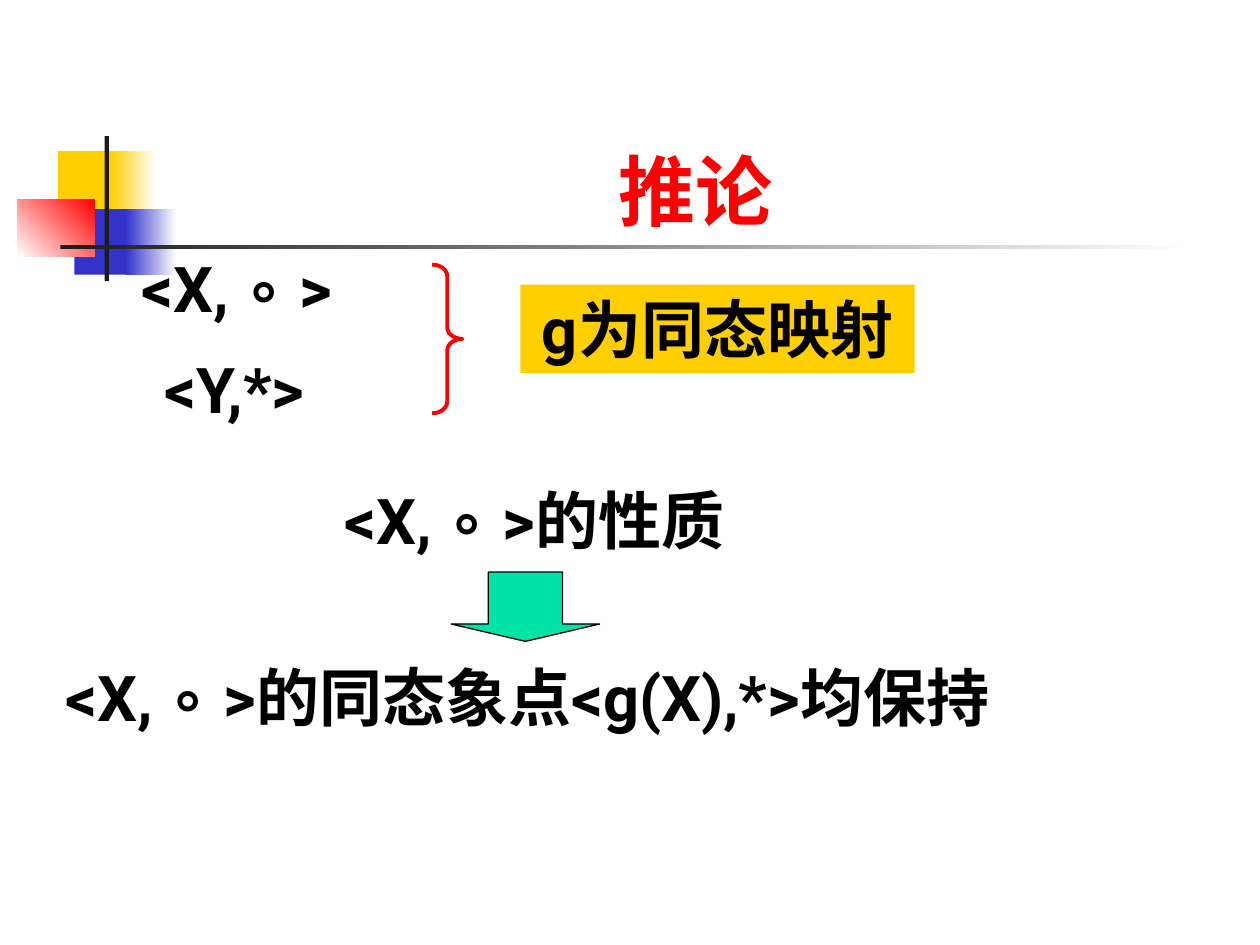
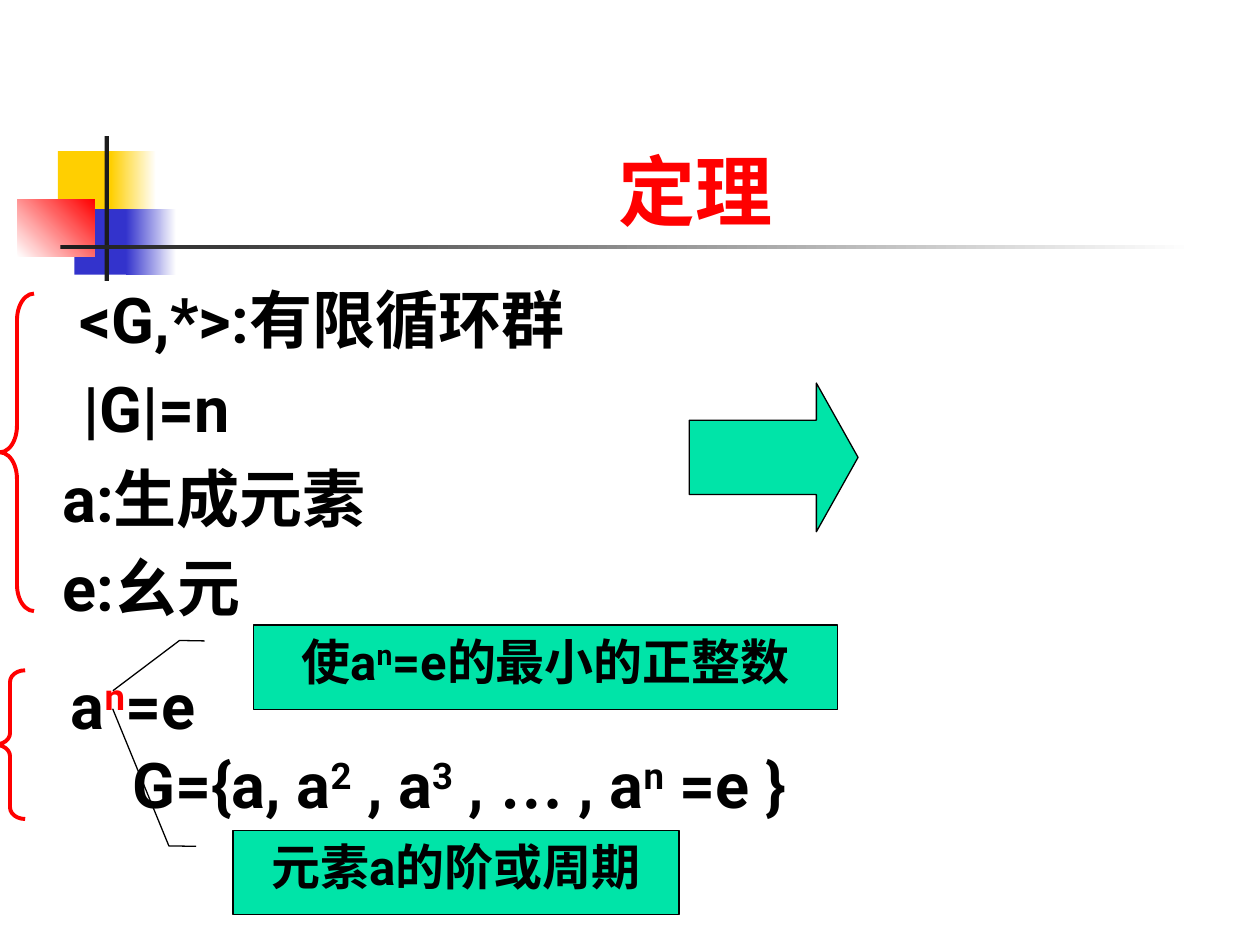
from lxml.etree import SubElement
from pptx import Presentation
from pptx.dml.color import RGBColor
from pptx.enum.shapes import MSO_SHAPE
from pptx.enum.text import MSO_ANCHOR, PP_ALIGN
from pptx.oxml.ns import qn
from pptx.util import Inches, Pt

BLACK = RGBColor(0x00, 0x00, 0x00)
WHITE = RGBColor(0xFF, 0xFF, 0xFF)
RED = RGBColor(0xFF, 0x00, 0x00)
YELLOW = RGBColor(0xFF, 0xCF, 0x01)
BLUE = RGBColor(0x33, 0x33, 0xCC)
GREEN = RGBColor(0x00, 0xE4, 0xA8)
CHARCOAL = RGBColor(0x1C, 0x1C, 0x1C)

FONT = "Roboto"
COLUMNS, ROWS = 100, 75
CELL = Inches(10) // COLUMNS
LINE_ROWS = 7  # height of one line of body text
SUPERSCRIPT = {"raised": True}


def grid(*cells):
    """Turn grid columns and rows into lengths."""
    return [round(cell * CELL) for cell in cells]


def write_text(shape, text, size=36, color=BLACK, wrap=False, anchor=MSO_ANCHOR.TOP):
    """Write centred bold text: a string, or a list of (string, run format)."""
    frame = shape.text_frame
    frame.word_wrap = wrap
    frame.vertical_anchor = anchor
    paragraph = frame.paragraphs[0]
    paragraph.alignment = PP_ALIGN.CENTER
    parts = [(text, {})] if isinstance(text, str) else text
    for words, style in parts:
        run = paragraph.add_run()
        run.text = words
        run.font.size = Pt(size)
        run.font.bold = True
        run.font.color.rgb = style.get("color", color)
        run.font.name = style.get("font", FONT)
        properties = run.font._element
        SubElement(properties, qn("a:ea")).set("typeface", run.font.name)
        if style.get("raised"):
            properties.set("baseline", "30000")


def add_text(slide, text, left, top, width, height=LINE_ROWS, **style):
    box = slide.shapes.add_textbox(*grid(left, top, width, height))
    write_text(box, text, **style)


def add_figure(slide, kind, cells, fill=None, line=None, weight=0.75, adjustments=()):
    """Draw a preset shape; a pair of fill colours makes a gradient."""
    shape = slide.shapes.add_shape(kind, *grid(*cells))
    shape.shadow.inherit = False
    for index, value in enumerate(adjustments):
        shape.adjustments[index] = value
    if fill is None:
        shape.fill.background()
    elif isinstance(fill, RGBColor):
        shape.fill.solid()
        shape.fill.fore_color.rgb = fill
    else:
        shape.fill.gradient()
        shape.fill.gradient_angle = 0
        for stop, color in zip(shape.fill.gradient_stops, fill):
            stop.color.rgb = color
    if line is None:
        shape.line.fill.background()
    else:
        shape.line.color.rgb = line
        shape.line.width = Pt(weight)
    return shape


def add_brace(slide, kind, cells, curve):
    add_figure(slide, kind, cells, line=RED, weight=2.25, adjustments=(curve, 0.5))


def add_arrow(slide, kind, cells, head):
    add_figure(slide, kind, cells, GREEN, BLACK, adjustments=(0.5, head))


def add_callout(slide, text, cells, pointer):
    callout = add_figure(slide, MSO_SHAPE.LINE_CALLOUT_2, cells, GREEN, BLACK,
                         adjustments=pointer)
    write_text(callout, text, size=28, wrap=True)


def add_titled_slide(presentation, title):
    """Start a slide with the coloured blocks, the rules and the title."""
    slide = presentation.slides.add_slide(presentation.slide_layouts[6])
    blocks = [
        ((4.6, 12, 4.8, 5.2), YELLOW),
        ((8.8, 12, 3.6, 5.2), (YELLOW, WHITE)),
        ((5.9, 16.6, 4.6, 5.2), BLUE),
        ((10, 16.6, 4, 5.2), (BLUE, WHITE)),
    ]
    for cells, fill in blocks:
        add_figure(slide, MSO_SHAPE.RECTANGLE, cells, fill)
    red_block = add_figure(slide, MSO_SHAPE.RECTANGLE, (1.4, 15.8, 6.1, 4.6), (WHITE, RED))
    red_block.fill.gradient_angle = 45
    add_figure(slide, MSO_SHAPE.RECTANGLE, (8.3, 10.8, 0.35, 11.5), CHARCOAL)
    add_figure(slide, MSO_SHAPE.RECTANGLE, (4.8, 19.45, 90, 0.35), (CHARCOAL, WHITE))
    add_text(slide, title, 12.6, 6.7, 85.2, 12.5, size=44, color=RED, wrap=True,
             anchor=MSO_ANCHOR.BOTTOM)
    return slide


def build_corollary(presentation):
    slide = add_titled_slide(presentation, "推论")

    # The two systems joined by the mapping
    add_text(slide, "<X, ∘ >", 9.7, 19.3, 18.2)
    add_text(slide, "<Y,*>", 11.1, 27.3, 15)
    add_brace(slide, MSO_SHAPE.RIGHT_BRACE, (34.3, 21, 2.4, 11.8), 0.38)
    mapping = add_figure(slide, MSO_SHAPE.RECTANGLE, (41.3, 22.6, 31.3, LINE_ROWS), YELLOW)
    write_text(mapping, "g为同态映射")

    # Properties carried over to the image
    add_text(slide, "<X, ∘ >的性质", 25.2, 37.7, 34.4)
    add_arrow(slide, MSO_SHAPE.DOWN_ARROW, (35.8, 45.4, 11.8, 5.5), 0.25)
    add_text(slide, "<X, ∘ >的同态象点<g(X),*>均保持", 1.1, 51.8, 81.5)


def build_theorem(presentation):
    slide = add_titled_slide(presentation, "定理")

    # Premises, one line after another
    premises = [
        ("<G,*>:有限循环群", 4, 43.1),
        ("|G|=n", 3.8, 17.3),
        ("a:生成元素", 3.2, 27.6),
        ("e:幺元", 3.2, 17.6),
    ]
    for row, (text, left, width) in enumerate(premises):
        add_text(slide, text, left, 21.8 + row * 7.07, width)
    add_brace(slide, MSO_SHAPE.LEFT_BRACE, (0, 23.3, 2.7, 25.2), 0.78)
    add_arrow(slide, MSO_SHAPE.RIGHT_ARROW, (54.7, 30.4, 13.4, 11.8), 0.28)

    # Conclusions
    add_text(slide, [("a", {}), ("n", {"raised": True, "color": RED}), ("=e", {})],
             4.2, 52.4, 12.7)
    add_text(slide, [
        ("G={a, a", {}), ("2", SUPERSCRIPT), (" , a", {}), ("3", SUPERSCRIPT),
        (" , ", {}), ("…", {"font": "Times New Roman"}), (" , a", {}),
        ("n", SUPERSCRIPT), (" =e }", {}),
    ], 7.5, 58.7, 57.9)
    add_brace(slide, MSO_SHAPE.LEFT_BRACE, (-0.4, 53.2, 2.4, 11.8), 0.38)

    # Callouts that explain the exponent n
    add_callout(slide, [("使a", {}), ("n", SUPERSCRIPT), ("=e的最小的正整数", {})],
                (20.1, 49.6, 46.4, 6.7), (0.19, -0.083, 0.185, -0.126, 0.78, -0.24))
    add_callout(slide, "元素a的阶或周期",
                (18.5, 65.9, 35.4, 6.7), (0.19, -0.083, 0.185, -0.144, -1.44, -0.27))


def main():
    presentation = Presentation()
    presentation.slide_width = COLUMNS * CELL
    presentation.slide_height = ROWS * CELL
    build_corollary(presentation)
    build_theorem(presentation)
    presentation.save("out.pptx")


if __name__ == "__main__":
    main()
